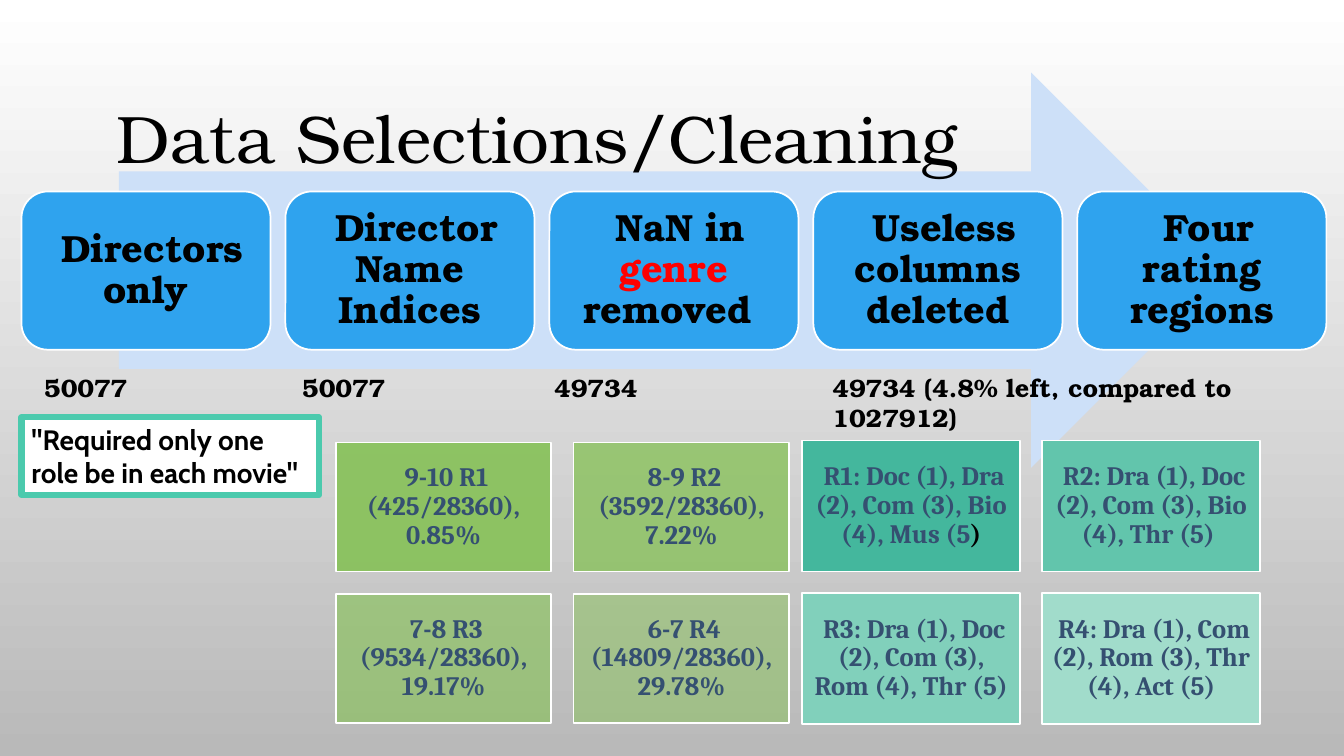
import dataclasses

import lxml.etree
import pptx
import pptx.dml.color
import pptx.enum.shapes
import pptx.enum.text
import pptx.oxml.ns
import pptx.util

SHAPE = pptx.enum.shapes.MSO_SHAPE
ALIGN = pptx.enum.text.PP_ALIGN
ANCHOR = pptx.enum.text.MSO_ANCHOR


@dataclasses.dataclass(frozen=True)
class Theme:
    serif: str = "TeX Gyre Bonum"
    cell_font: str = "Cambria"
    note_font: str = "Cabin"
    title_size: int = 48
    step_size: int = 27
    note_size: int = 20
    cell_size: int = 19
    count_size: int = 18
    ink: str = "000000"
    cell_ink: str = "355071"
    bracket_ink: str = "010000"
    highlight: str = "FF0000"
    white: str = "FFFFFF"
    backdrop_end: str = "B9B9B9"
    arrow: str = "CDE0F8"
    step: str = "2FA3EE"
    note_border: str = "4BCAAD"
    rating: str = "86C157"
    genres: tuple = ("44B79D", "62C5AC", "81D0BB", "A1DCCB")
    outline: float = 1.25
    note_outline: float = 4.5


def rgb(value):
    return pptx.dml.color.RGBColor.from_string(value)


class SlideBuilder:
    """Draws on one slide; places are (left, top, width, height) in percent of the slide."""

    def __init__(self, deck, theme):
        self.theme = theme
        self.width, self.height = deck.slide_width, deck.slide_height
        self.slide = deck.slides.add_slide(deck.slide_layouts[5])

    def place(self, left, top, width, height):
        return (round(left * self.width / 100), round(top * self.height / 100),
                round(width * self.width / 100), round(height * self.height / 100))

    def backdrop(self):
        fill = self.slide.background.fill
        fill.gradient()
        fill.gradient_angle = 270
        for stop, color in zip(fill.gradient_stops, (self.theme.white, self.theme.backdrop_end)):
            stop.color.rgb = rgb(color)

    def set_words(self, shape, pieces, font, size, color, bold=True, inset=None, centred=False):
        """Fill a shape with one paragraph; a piece is a string or a (string, colour) pair."""
        frame = shape.text_frame
        frame.word_wrap = True
        frame.auto_size = pptx.enum.text.MSO_AUTO_SIZE.NONE
        frame.vertical_anchor = ANCHOR.MIDDLE if centred else ANCHOR.TOP
        if inset is not None:
            frame.margin_left = frame.margin_right = pptx.util.Inches(inset)
            frame.margin_top = frame.margin_bottom = pptx.util.Inches(inset)
        paragraph = frame.paragraphs[0]
        paragraph.alignment = ALIGN.CENTER if centred else ALIGN.LEFT
        if centred:
            paragraph.line_spacing = 0.9
        for piece in pieces:
            words, ink = (piece, color) if isinstance(piece, str) else piece
            run = paragraph.add_run()
            run.text = words
            run.font.name, run.font.size, run.font.bold = font, pptx.util.Pt(size), bold
            run.font.color.rgb = rgb(ink)

    def title(self, place, words):
        heading = self.slide.shapes.title
        heading.left, heading.top, heading.width, heading.height = self.place(*place)
        self.set_words(heading, [words], self.theme.serif, self.theme.title_size,
                       self.theme.ink, bold=False)
        # The title overlaps the arrow, so it goes in front of what is drawn so far.
        self.slide.shapes.element.append(heading.element)

    def block(self, kind, place, fill, border=None, weight=None, opacity=100):
        shape = self.slide.shapes.add_shape(kind, *self.place(*place))
        shape.shadow.inherit = False
        shape.fill.solid()
        shape.fill.fore_color.rgb = rgb(fill)
        if opacity < 100:
            color = shape.element.spPr.find(".//" + pptx.oxml.ns.qn("a:srgbClr"))
            alpha = lxml.etree.SubElement(color, pptx.oxml.ns.qn("a:alpha"))
            alpha.set("val", str(opacity * 1000))
        if border:
            shape.line.color.rgb = rgb(border)
            shape.line.width = pptx.util.Pt(weight)
        else:
            shape.line.fill.background()
        return shape

    def step(self, place, pieces):
        theme = self.theme
        card = self.block(SHAPE.ROUNDED_RECTANGLE, place, theme.step, theme.white, theme.outline)
        self.set_words(card, pieces, theme.serif, theme.step_size, theme.ink,
                       inset=0.11, centred=True)

    def count(self, place, words):
        label = self.slide.shapes.add_textbox(*self.place(*place))
        self.set_words(label, [words], self.theme.serif, self.theme.count_size, self.theme.ink)

    def note(self, place, words):
        theme = self.theme
        card = self.block(SHAPE.RECTANGLE, place, theme.white,
                          theme.note_border, theme.note_outline)
        self.set_words(card, [words], theme.note_font, theme.note_size, theme.ink)

    def matrix(self, first, pitch, cells):
        """Two-by-two grid of (pieces, fill, opacity) cells, starting at place first."""
        theme = self.theme
        left, top, width, height = first
        for index, (pieces, fill, opacity) in enumerate(cells):
            row, column = divmod(index, 2)
            place = (left + column * pitch[0], top + row * pitch[1], width, height)
            cell = self.block(SHAPE.RECTANGLE, place, fill, theme.white,
                              theme.outline, opacity)
            self.set_words(cell, pieces, theme.cell_font, theme.cell_size, theme.cell_ink,
                           inset=0.08, centred=True)


def main():
    theme = Theme()
    deck = pptx.Presentation()
    deck.slide_width, deck.slide_height = pptx.util.Inches(13.33), pptx.util.Inches(7.5)
    page = SlideBuilder(deck, theme)
    page.backdrop()

    page.block(SHAPE.RIGHT_ARROW, (8.85, 9.6, 82.58, 52.27), theme.arrow)
    steps = [
        [" Directors only"],
        [" Director Name Indices"],
        [" NaN in ", ("genre", theme.highlight), " removed "],
        [" Useless columns deleted"],
        [" Four rating regions"],
    ]
    for index, pieces in enumerate(steps):
        page.step((1.6 + index * 19.64, 25.33, 18.53, 20.93), pieces)

    page.title((7.95, 12.13, 68.78, 12.13), "Data Selections/Cleaning")
    page.note((1.6, 55.2, 22.13, 10.27), '"Required only one role be in each movie"')

    ratings = [
        (" 9-10 R1 (425/28360), 0.85%", 90),
        (" 8-9 R2 (3592/28360), 7.22%", 77),
        (" 7-8 R3 (9534/28360), 19.17%", 63),
        (" 6-7 R4 (14809/28360), 29.78%", 50),
    ]
    page.matrix((24.98, 58.53, 16.05, 17.07), (17.7, 20),
                [([words], theme.rating, opacity) for words, opacity in ratings])

    genres = [
        [" R1: Doc (1), Dra (2), Com (3), Bio (4), Mus (5", (")", theme.bracket_ink)],
        [" R2: Dra (1), Doc (2), Com (3), Bio (4), Thr (5) "],
        [" R3: Dra (1), Doc (2), Com (3), Rom (4), Thr (5)"],
        [" R4: Dra (1), Com (2), Rom (3), Thr (4), Act (5)"],
    ]
    page.matrix((59.7, 58.27, 16.2, 17.33), (17.85, 20.13),
                [(pieces, fill, 100) for pieces, fill in zip(genres, theme.genres)])

    counts = [
        (2.55, 22.5, "50077"),
        (21.75, 22.5, "50077"),
        (40.5, 22.5, "49734"),
        (61.2, 36.9, "49734 (4.8% left, compared to 1027912)"),
    ]
    for left, width, words in counts:
        page.count((left, 48.53, width, 5.33), words)

    deck.save("out.pptx")


if __name__ == "__main__":
    main()
